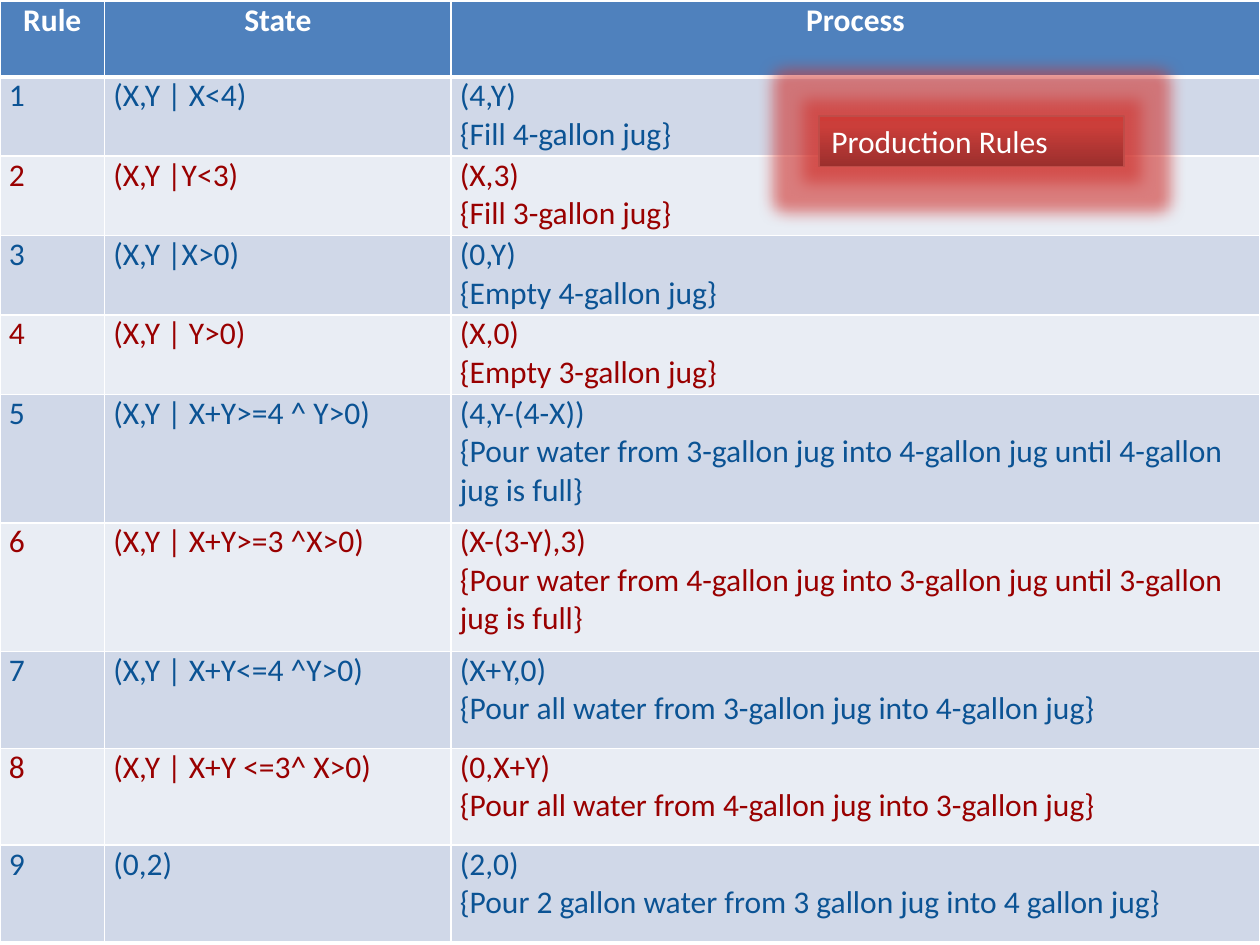
from copy import deepcopy
from typing import NamedTuple

from lxml.etree import SubElement
from pptx import Presentation
from pptx.dml.color import RGBColor
from pptx.enum.shapes import MSO_SHAPE as Shape
from pptx.enum.text import MSO_ANCHOR as Anchor, PP_ALIGN as Align
from pptx.oxml.ns import qn
from pptx.util import Inches, Pt

WHITE = RGBColor(0xFF, 0xFF, 0xFF)
HEADER_BLUE = RGBColor(0x4F, 0x81, 0xBD)
BAND_DARK = RGBColor(0xD0, 0xD8, 0xE8)
BAND_LIGHT = RGBColor(0xE9, 0xED, 0xF4)
TEXT_BLUE = RGBColor(0x0B, 0x53, 0x94)
TEXT_RED = RGBColor(0x99, 0x00, 0x00)
LABEL_LINE = RGBColor(0xBF, 0x4C, 0x48)
LABEL_GLOW = RGBColor(0xD0, 0x33, 0x2E)
LABEL_GRADIENT = (
    (0, RGBColor(0x9C, 0x2F, 0x2D)),
    (0.8, RGBColor(0xCB, 0x3E, 0x3A)),
    (1, RGBColor(0xCE, 0x3B, 0x37)),
)


class Rule(NamedTuple):
    state: str
    result: str
    action: str
    height: float


class CellStyle(NamedTuple):
    fill: RGBColor
    color: RGBColor
    bold: bool = False
    alignment: Align = Align.LEFT
    bottom_border: float = 1


HEADER = CellStyle(HEADER_BLUE, WHITE, True, Align.CENTER, 3)
BANDS = (CellStyle(BAND_DARK, TEXT_BLUE), CellStyle(BAND_LIGHT, TEXT_RED))
HEADINGS = ("Rule", "State", "Process")
HEADER_HEIGHT = 0.6
COLUMN_WIDTHS = (0.83, 2.75, 6.42)
RULES = (
    Rule("(X,Y | X<4)", "(4,Y)", "{Fill 4-gallon jug}", 0.63),
    Rule("(X,Y |Y<3)", "(X,3)", "{Fill 3-gallon jug}", 0.63),
    Rule("(X,Y |X>0)", "(0,Y)", "{Empty 4-gallon jug}", 0.63),
    Rule("(X,Y | Y>0)", "(X,0)", "{Empty 3-gallon jug}", 0.63),
    Rule("(X,Y | X+Y>=4 ^ Y>0)", "(4,Y-(4-X))",
         "{Pour water from 3-gallon jug into 4-gallon jug until 4-gallon jug is full}", 1.02),
    Rule("(X,Y | X+Y>=3 ^X>0)", "(X-(3-Y),3)",
         "{Pour water from 4-gallon jug into 3-gallon jug until 3-gallon jug is full}", 1.02),
    Rule("(X,Y | X+Y<=4 ^Y>0)", "(X+Y,0)",
         "{Pour all water from 3-gallon jug into 4-gallon jug}", 0.77),
    Rule("(X,Y | X+Y <=3^ X>0)", "(0,X+Y)",
         "{Pour all water from 4-gallon jug into 3-gallon jug}", 0.77),
    Rule("(0,2)", "(2,0)", "{Pour 2 gallon water from 3 gallon jug into 4 gallon jug}", 0.77),
)


def apply_format(target, values: dict) -> None:
    for name, value in values.items():
        setattr(target, name, value)


def write_text(text_frame, text: str, color: RGBColor, bold: bool = False,
               alignment: Align = Align.LEFT) -> None:
    text_frame.text = text
    for paragraph in text_frame.paragraphs:
        paragraph.alignment = alignment
        for run in paragraph.runs:
            apply_format(run.font, {"name": "Calibri", "size": Pt(18), "bold": bold})
            run.font.color.rgb = color


def add_color(parent, color: RGBColor):
    return SubElement(parent, qn("a:srgbClr"), val=str(color))


def add_borders(cell, bottom: float) -> None:
    properties = cell._tc.get_or_add_tcPr()
    for side, width in (("L", 1), ("R", 1), ("T", 1), ("B", bottom)):
        line = SubElement(properties, qn(f"a:ln{side}"), w=str(Pt(width)))
        add_color(SubElement(line, qn("a:solidFill")), WHITE)


def fill_cell(cell, text: str, style: CellStyle) -> None:
    write_text(cell.text_frame, text, style.color, style.bold, style.alignment)
    apply_format(cell, {
        "margin_left": Inches(0.07), "margin_right": Inches(0.07),
        "margin_top": 0, "margin_bottom": 0, "vertical_anchor": Anchor.TOP,
    })
    add_borders(cell, style.bottom_border)
    cell.fill.solid()
    cell.fill.fore_color.rgb = style.fill


def add_rules_table(slide) -> None:
    rows = [(HEADINGS, HEADER, HEADER_HEIGHT)]
    for index, rule in enumerate(RULES):
        texts = (str(index + 1), rule.state, f"{rule.result}\n{rule.action}")
        rows.append((texts, BANDS[index % 2], rule.height))
    table = slide.shapes.add_table(
        len(rows), len(HEADINGS), 0, Inches(0.01), Inches(10), Inches(7.49)).table
    for column, width in zip(table.columns, COLUMN_WIDTHS):
        column.width = Inches(width)
    for row, (texts, style, height) in zip(table.rows, rows):
        row.height = Inches(height)
        for cell, text in zip(row.cells, texts):
            fill_cell(cell, text, style)


def add_label(slide, text: str) -> None:
    shape = slide.shapes.add_shape(
        Shape.RECTANGLE, Inches(6.5), Inches(0.92), Inches(2.42), Inches(0.4))
    shape.fill.gradient()
    shape.fill.gradient_angle = 90
    properties = shape._element.spPr
    stop_list = properties.find(".//" + qn("a:gsLst"))
    stop_list.append(deepcopy(stop_list[-1]))
    for stop, (position, color) in zip(shape.fill.gradient_stops, LABEL_GRADIENT):
        stop.position = position
        stop.color.rgb = color
    shape.line.color.rgb = LABEL_LINE
    shape.line.width = Pt(0.75)
    shape.shadow.inherit = False
    effects = properties.find(qn("a:effectLst"))
    glow = SubElement(effects, qn("a:glow"), rad=str(Pt(18)))
    SubElement(add_color(glow, LABEL_GLOW), qn("a:alpha"), val="60000")
    shape.text_frame.word_wrap = True
    write_text(shape.text_frame, text, WHITE)


def main() -> None:
    presentation = Presentation()
    presentation.slide_width = Inches(10)
    presentation.slide_height = Inches(7.5)
    slide = presentation.slides.add_slide(presentation.slide_layouts[6])
    add_rules_table(slide)
    add_label(slide, "Production Rules")
    presentation.save("out.pptx")


if __name__ == "__main__":
    main()
